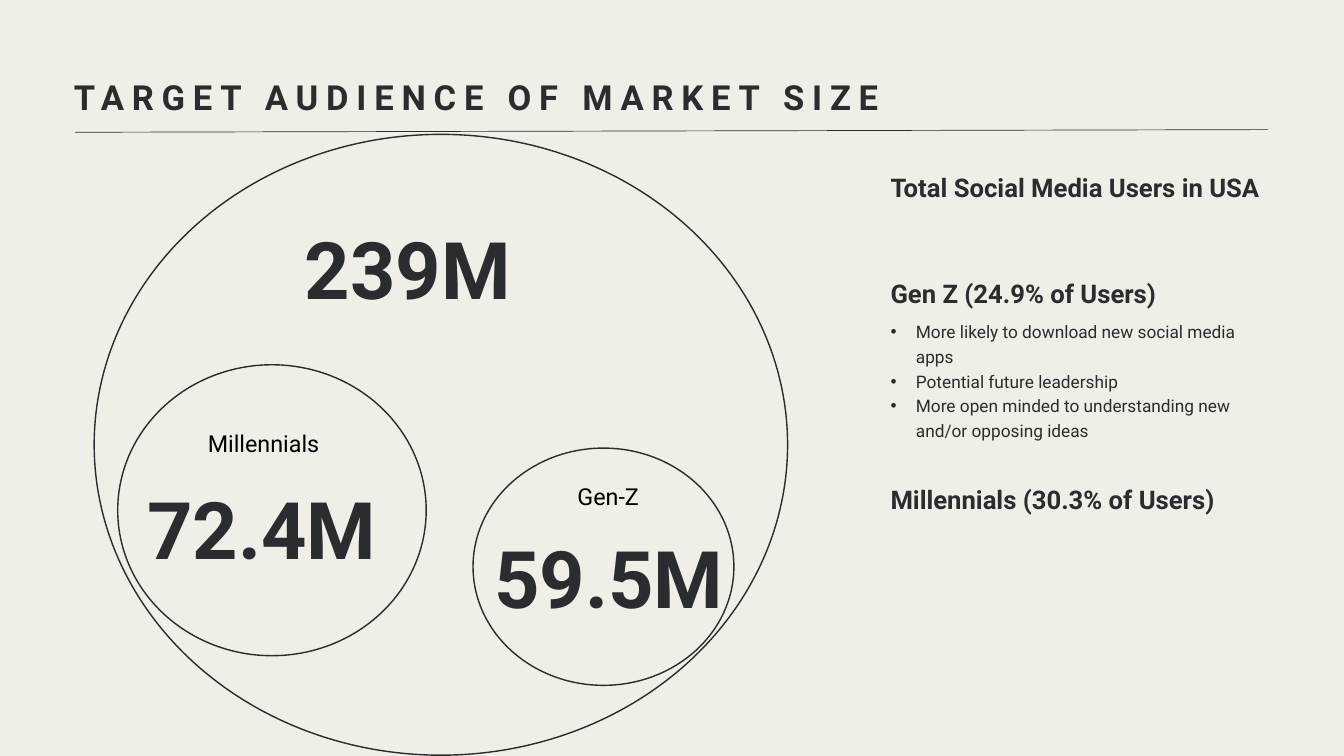
from pptx import Presentation
from pptx.dml.color import RGBColor
from pptx.enum.shapes import MSO_CONNECTOR, MSO_SHAPE
from pptx.enum.text import PP_ALIGN
from pptx.oxml.ns import qn
from pptx.util import Cm, Pt
from lxml.etree import SubElement

FONT = "Roboto"
PAPER = RGBColor(0xEF, 0xEE, 0xE7)
INK = RGBColor(0x2B, 0x2C, 0x30)
BLACK = RGBColor(0, 0, 0)

# All places are left, top, width, height in centimetres.
TITLE = ("TARGET AUDIENCE OF MARKET SIZE", (2.79, 2.62, 45.09, 1.73))
RULE = (2.84, 5.0, 47.93, 4.9)  # start x, y, end x, y
CIRCLES = [
    (3.56, 5.08, 26.21, 23.47),
    (4.45, 13.79, 11.66, 11.0),
    (17.88, 16.94, 9.86, 8.97),
]
FIGURES = [
    ("72.4M", (2.79, 16.94, 14.22, 4.5)),
    ("59.5M", (14.88, 18.77, 16.26, 4.5)),
    ("239M", (8.31, 7.11, 14.22, 4.5)),
]
LABELS = [
    ("Millennials", (6.91, 16.1, 6.1, 1.32)),
    ("Gen-Z", (19.94, 18.11, 6.1, 1.32)),
]
SIDE_LEFT, SIDE_WIDTH = 33.66, 14.3
HEADINGS = [  # text, top, height
    ("Total Social Media Users in USA", 6.27, 2.67),
    ("Gen Z (24.9% of Users)", 10.29, 1.32),
    ("Millennials (30.3% of Users)", 18.08, 1.3),
]
TRAITS = [
    "More likely to download new social media apps",
    "Potential future leadership",
    "More open minded to understanding new and/or opposing ideas",
]
TRAITS_TOP, TRAITS_HEIGHT = 11.99, 4.72


def add_text(page, lines, place, size, leading=None, bold=False,
             color=INK, align=PP_ALIGN.LEFT, inset=True):
    box = page.shapes.add_textbox(*map(Cm, place))
    frame = box.text_frame
    frame.word_wrap = True
    if not inset:
        frame.margin_left = frame.margin_right = 0
        frame.margin_top = frame.margin_bottom = 0
    frame.text = "\n".join(lines)
    for para in frame.paragraphs:
        para.alignment = align
        if leading:
            para.line_spacing = Pt(leading)
        font = para.runs[0].font
        font.name, font.size, font.bold = FONT, Pt(size), bold
        font.color.rgb = color
    return frame


def add_bullet(para, indent):
    props = para._p.get_or_add_pPr()
    props.set("marL", str(indent))
    props.set("indent", str(-indent))
    SubElement(props, qn("a:buFont"), typeface="Arial")
    SubElement(props, qn("a:buChar"), char="•")


deck = Presentation()
deck.slide_width, deck.slide_height = Cm(50.8), Cm(28.58)
page = deck.slides.add_slide(deck.slide_layouts[6])
page.background.fill.solid()
page.background.fill.fore_color.rgb = PAPER

rule = page.shapes.add_connector(MSO_CONNECTOR.STRAIGHT, *map(Cm, RULE))
rule.line.color.rgb, rule.line.width = INK, Pt(0.75)
SubElement(rule._element.spPr, qn("a:effectLst"))

text, place = TITLE
title = add_text(page, [text], place, 37, 52, bold=True, inset=False)
title.paragraphs[0].runs[0].font._element.set("spc", "840")

for place in CIRCLES:
    circle = page.shapes.add_shape(MSO_SHAPE.OVAL, *map(Cm, place))
    circle.shadow.inherit = False
    circle.fill.background()
    circle.line.color.rgb, circle.line.width = INK, Pt(1.5)

for text, place in FIGURES:
    add_text(page, [text], place, 85, 136.6, bold=True,
             align=PP_ALIGN.CENTER, inset=False)

for text, top, height in HEADINGS:
    add_text(page, [text], (SIDE_LEFT, top, SIDE_WIDTH, height), 27.5, 39.2,
             bold=True, inset=False)

traits = add_text(page, TRAITS, (SIDE_LEFT, TRAITS_TOP, SIDE_WIDTH, TRAITS_HEIGHT),
                  18.5, 26.6, inset=False)
for para in traits.paragraphs:
    add_bullet(para, Cm(0.96))

for text, place in LABELS:
    add_text(page, [text], place, 25, color=BLACK, align=PP_ALIGN.CENTER)

deck.save("out.pptx")
